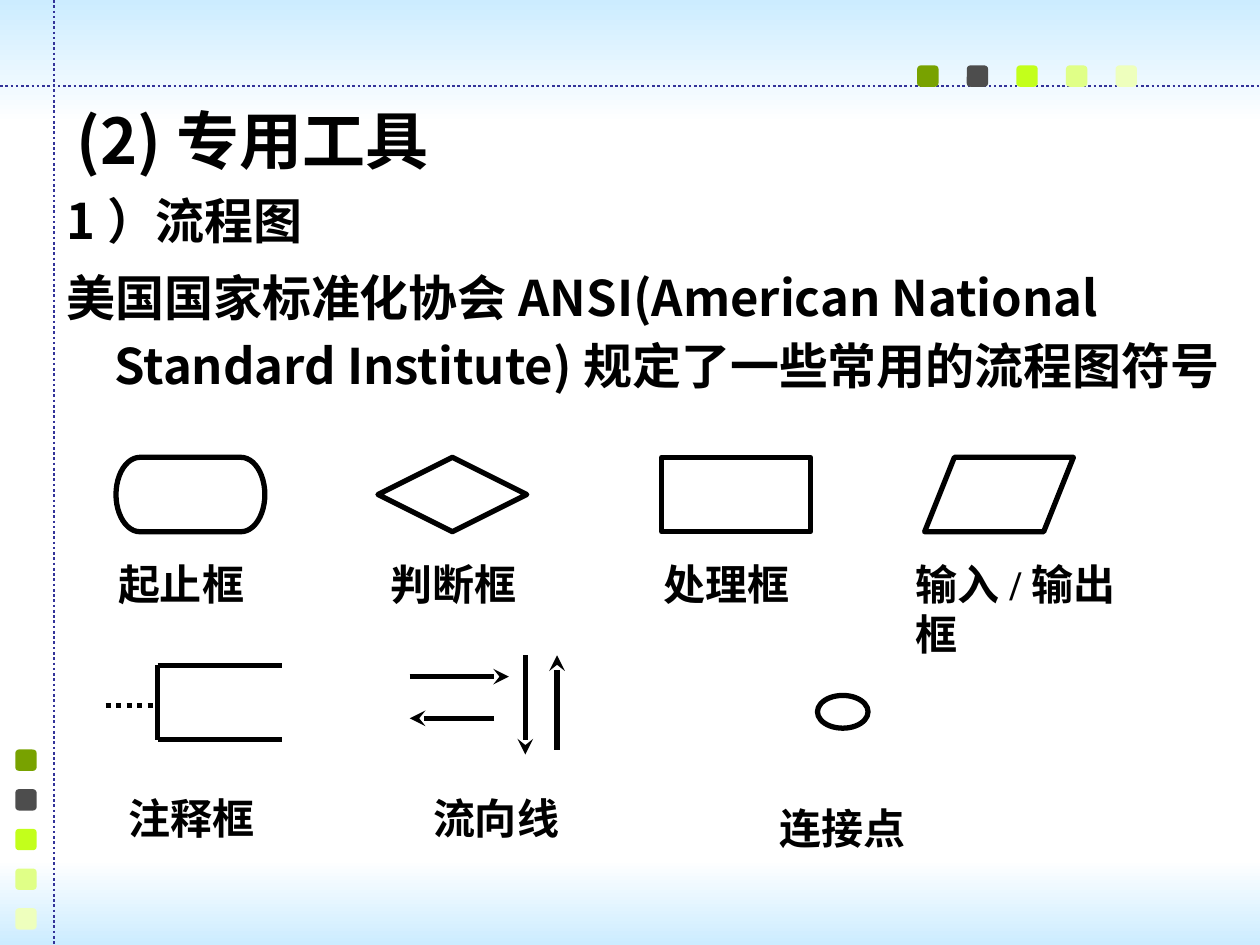
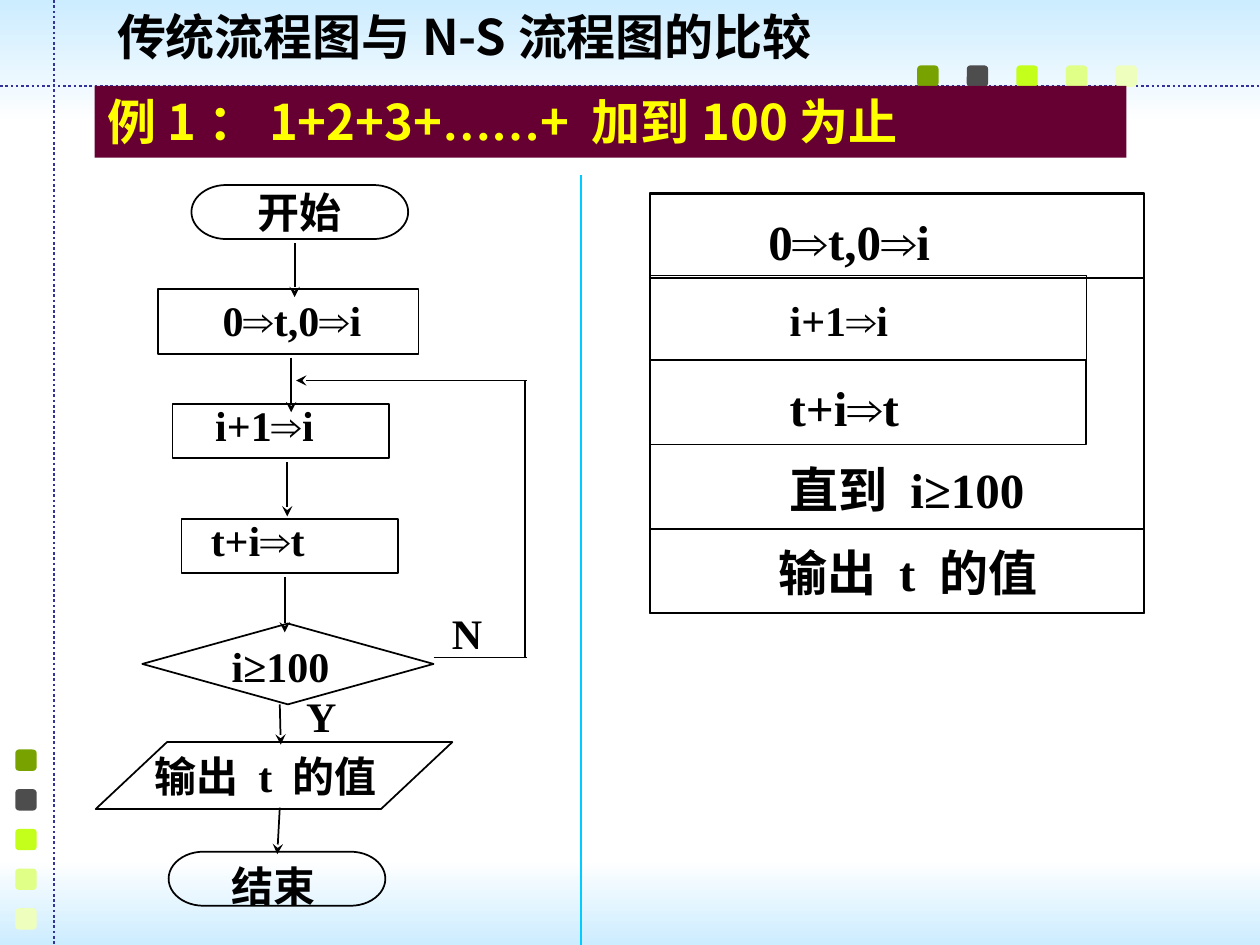
from dataclasses import dataclass
from typing import NamedTuple, Optional

import pptx
import pptx.dml.color
import pptx.enum.dml
import pptx.enum.shapes
import pptx.enum.text
import pptx.oxml
import pptx.oxml.ns
import pptx.util
from pptx.util import Cm

Preset = pptx.enum.shapes.MSO_SHAPE
Anchor = pptx.enum.text.MSO_ANCHOR
Align = pptx.enum.text.PP_ALIGN


@dataclass(frozen=True)
class Theme:
    width: float = 25.4
    height: float = 19.05
    ink: str = "000000"
    sky: str = "CCECFF"
    paper: str = "FFFFFF"
    rule: str = "333399"
    divider: str = "00CCFF"
    banner: str = "660033"
    banner_text: str = "FFFF00"
    squares: tuple = ("78A200", "4D4D4D", "C3FF1B", "E0FF87", "EEFFBD")
    sans: str = "Noto Sans CJK SC"
    serif: str = "Times New Roman"
    title: float = 36
    heading: float = 28
    label: float = 24
    thick: float = 3
    thin: float = 1
    hairline: float = 0.75
    dotted: float = 1.5


THEME = Theme()


class Box(NamedTuple):
    """Left, top, width and height in centimetres."""
    left: float
    top: float
    width: float
    height: float

    def lengths(self) -> list:
        return [Cm(value) for value in self]


class Run(NamedTuple):
    text: str
    font: str = THEME.sans
    east_asian: str = THEME.sans


class Symbol(NamedTuple):
    preset: Preset
    box: Box
    weight: float = THEME.thin


class Label(NamedTuple):
    text: str
    left: float
    top: float
    width: float
    size: float = THEME.label


class Line(NamedTuple):
    x1: float
    y1: float
    x2: float
    y2: float
    arrow: bool = False
    weight: float = THEME.thin
    color: str = THEME.ink
    dotted: bool = False


def rgb(color: str) -> pptx.dml.color.RGBColor:
    return pptx.dml.color.RGBColor.from_string(color)


def add_symbol(slide, symbol: Symbol, fill: Optional[str] = None):
    """Draw an outlined shape, or a filled one without outline."""
    shape = slide.shapes.add_shape(symbol.preset, *symbol.box.lengths())
    shape.shadow.inherit = False
    if fill:
        shape.fill.solid()
        shape.fill.fore_color.rgb = rgb(fill)
        shape.line.fill.background()
    else:
        shape.fill.background()
        shape.line.color.rgb = rgb(THEME.ink)
        shape.line.width = pptx.util.Pt(symbol.weight)
    return shape


def add_line(slide, line: Line) -> None:
    connector = slide.shapes.add_connector(
        pptx.enum.shapes.MSO_CONNECTOR.STRAIGHT,
        Cm(line.x1), Cm(line.y1), Cm(line.x2), Cm(line.y2))
    connector.line.color.rgb = rgb(line.color)
    connector.line.width = pptx.util.Pt(line.weight)
    if line.dotted:
        connector.line.dash_style = pptx.enum.dml.MSO_LINE.ROUND_DOT
    if line.arrow:
        tail = pptx.oxml.parse_xml(
            f'<a:tailEnd {pptx.oxml.ns.nsdecls("a")} type="stealth"/>')
        connector.line._get_or_add_ln().append(tail)
    effects = pptx.oxml.parse_xml(
        f'<a:effectLst {pptx.oxml.ns.nsdecls("a")}/>')
    connector._element.spPr.append(effects)


def add_runs(paragraph, runs: list, size: float,
             color: str = THEME.ink) -> None:
    for item in runs:
        run = paragraph.add_run()
        run.text = item.text
        run.font.size = pptx.util.Pt(size)
        run.font.bold = True
        run.font.color.rgb = rgb(color)
        run.font.name = item.font
        east_asian = pptx.oxml.parse_xml(
            f'<a:ea {pptx.oxml.ns.nsdecls("a")} '
            f'typeface="{item.east_asian}"/>')
        run.font._element.append(east_asian)


def add_text(slide, box: Box, paragraphs: list, size: float,
             hanging: float = 0, line_spacing: float = 1.0) -> None:
    """Add a wrapping text box; each paragraph is a list of runs."""
    frame = slide.shapes.add_textbox(*box.lengths()).text_frame
    frame.word_wrap = True
    for index, runs in enumerate(paragraphs):
        paragraph = frame.add_paragraph() if index else frame.paragraphs[0]
        paragraph.line_spacing = line_spacing
        if index:
            paragraph.space_before = pptx.util.Pt(size * 0.2)
        if hanging:
            properties = paragraph._p.get_or_add_pPr()
            properties.set("marL", str(Cm(hanging)))
            properties.set("indent", str(-Cm(hanging)))
        add_runs(paragraph, runs, size)


def add_label(slide, label: Label) -> None:
    height = 1.45 if label.size > THEME.label else 1.27
    add_text(slide, Box(label.left, label.top, label.width, height),
             [[Run(label.text, THEME.serif)]], label.size)


def add_band(slide, box: Box, first: str, last: str) -> None:
    shape = add_symbol(slide, Symbol(Preset.RECTANGLE, box), first)
    shape.fill.gradient()
    shape.fill.gradient_angle = 270
    for stop, color in zip(shape.fill.gradient_stops, (first, last)):
        stop.color.rgb = rgb(color)


def add_background(slide) -> None:
    """Draw the bands, dotted rules and coloured squares of every slide."""
    add_band(slide, Box(0, 0, THEME.width, 2.51), THEME.sky, THEME.paper)
    add_band(slide, Box(0, 17.32, THEME.width, 1.73), THEME.paper, THEME.sky)
    style = (False, THEME.dotted, THEME.rule, True)
    add_line(slide, Line(0, 1.73, THEME.width, 1.73, *style))
    for index, color in enumerate(THEME.squares):
        for left, top in ((18.49 + index, 1.32), (0.31, 15.11 + 0.8 * index)):
            add_symbol(slide, Symbol(Preset.ROUNDED_RECTANGLE,
                                     Box(left, top, 0.43, 0.43)), color)
    add_line(slide, Line(1.09, 0, 1.09, THEME.height, *style))


def draw_all(slide, symbols: list, lines: list, labels: list) -> None:
    for symbol in symbols:
        add_symbol(slide, symbol)
    for line in lines:
        add_line(slide, line)
    for label in labels:
        add_label(slide, label)


def build_symbols_slide(slide) -> None:
    add_text(slide, Box(1.3, 1.93, 16.79, 2.01), [[Run("(2)专用工具")]],
             THEME.title, hanging=0.97)
    add_text(slide, Box(1.09, 3.53, 24.31, 5), [
        [Run("1）流程图")],
        [Run("美国国家标准化协会ANSI(American National Standard Institute)"
             "规定了一些常用的流程图符号")],
    ], THEME.heading, hanging=0.97, line_spacing=1.15)

    top_row = (
        (Preset.FLOWCHART_TERMINATOR, 2.34),
        (Preset.FLOWCHART_DECISION, 7.62),
        (Preset.FLOWCHART_PROCESS, 13.34),
        (Preset.FLOWCHART_DATA, 18.64),
    )
    symbols = [Symbol(preset, Box(left, 9.22, 3, 1.5), THEME.thick)
               for preset, left in top_row]
    symbols.append(Symbol(Preset.FLOWCHART_CONNECTOR,
                          Box(16.48, 14.02, 1.02, 0.66), THEME.thick))
    comment_bracket = [
        Line(3.18, 13.41, 5.69, 13.41),
        Line(3.18, 14.91, 5.69, 14.91),
        Line(3.18, 13.41, 3.18, 14.91),
        Line(2.13, 14.22, 3.12, 14.22, dotted=True),
    ]
    flow_arrows = [
        Line(8.26, 13.64, 10.26, 13.64, True),
        Line(10.59, 13.21, 10.59, 15.21, True),
        Line(9.96, 14.48, 8.26, 14.48, True),
        Line(11.23, 15.11, 11.23, 13.21, True),
    ]
    lines = [line._replace(weight=THEME.thick)
             for line in comment_bracket + flow_arrows]
    labels = [
        Label("起止框", 2.13, 11.13, 3.61),
        Label("判断框", 7.62, 11.13, 4.01),
        Label("处理框", 13.13, 11.13, 3.38),
        Label("输入/输出框", 18.21, 11.13, 5.28),
        Label("注释框", 2.34, 15.85, 3.61),
        Label("流向线", 8.48, 15.85, 3.81),
        Label("连接点", 15.47, 16.05, 4.88),
    ]
    draw_all(slide, symbols, lines, labels)


def build_ns_chart(slide) -> None:
    symbols = [Symbol(Preset.RECTANGLE, Box(13.11, top, width, height), weight)
               for top, width, height, weight in (
                   (3.89, 9.96, 8.46, THEME.thin),
                   (3.91, 9.96, 1.7, THEME.thin),
                   (10.67, 9.96, 1.7, THEME.thin),
                   (5.56, 8.79, 1.7, THEME.hairline),
                   (7.26, 8.79, 1.7, THEME.thin))]
    labels = [
        Label("0⇒t,0⇒i", 15.24, 4.14, 7.26, THEME.heading),
        Label("i+1⇒i", 15.67, 5.82, 3.28),
        Label("t+i⇒t", 15.67, 7.49, 4.45, THEME.heading),
        Label("直到 i≥100", 15.67, 9.14, 5.38, THEME.heading),
        Label("输出 t 的值", 15.44, 10.82, 6.55, THEME.heading),
    ]
    draw_all(slide, symbols, [], labels)


def build_flowchart(slide) -> None:
    start = add_symbol(slide, Symbol(Preset.FLOWCHART_TERMINATOR,
                                     Box(3.86, 3.73, 4.37, 1.09)))
    start.text_frame.word_wrap = False
    start.text_frame.vertical_anchor = Anchor.MIDDLE
    paragraph = start.text_frame.paragraphs[0]
    paragraph.alignment = Align.CENTER
    add_runs(paragraph, [Run("开始", THEME.serif)], THEME.label)

    symbols = [
        Symbol(Preset.FLOWCHART_PROCESS, Box(3.18, 5.82, 5.26, 1.32)),
        Symbol(Preset.FLOWCHART_PROCESS, Box(3.48, 8.15, 4.37, 1.09)),
        Symbol(Preset.FLOWCHART_PROCESS, Box(3.66, 10.46, 4.37, 1.09)),
        Symbol(Preset.FLOWCHART_DECISION, Box(2.87, 12.57, 5.87, 1.63)),
        Symbol(Preset.FLOWCHART_DATA, Box(1.93, 14.96, 7.19, 1.35)),
        Symbol(Preset.FLOWCHART_TERMINATOR, Box(3.4, 17.17, 4.37, 1.09)),
    ]
    lines = [
        Line(5.94, 4.9, 5.94, 5.99, True),
        Line(5.87, 7.21, 5.87, 8.31, True),
        Line(5.79, 9.32, 5.79, 10.41, True),
        Line(5.74, 11.63, 5.74, 12.75, True),
        Line(5.64, 14.2, 5.66, 15.01, True),
        Line(5.64, 16.28, 5.59, 17.22, True),
        Line(8.74, 13.26, 10.62, 13.26, weight=THEME.hairline),
        Line(10.59, 13.26, 10.59, 7.67),
        Line(10.62, 7.67, 5.97, 7.67, True),
    ]
    labels = [
        Label("0⇒t,0⇒i", 4.24, 5.82, 5),
        Label("i+1⇒i", 4.09, 7.92, 4.32),
        Label("t+i⇒t", 4, 10.24, 5),
        Label("i≥100", 4.42, 12.78, 7.11),
        Label("N", 8.86, 12.12, 2),
        Label("Y", 5.92, 13.79, 6.17),
        Label("输出 t 的值", 2.87, 15.01, 7.32),
        Label("结束", 4.42, 17.22, 3.4),
    ]
    draw_all(slide, symbols, lines, labels)


def build_comparison_slide(slide) -> None:
    build_ns_chart(slide)
    add_text(slide, Box(2.11, 0, 19.69, 1.45),
             [[Run("传统流程图与N-S流程图的比较")]], THEME.heading)
    build_flowchart(slide)
    banner = add_symbol(slide, Symbol(Preset.RECTANGLE,
                                      Box(1.91, 1.73, 20.8, 1.45)),
                        THEME.banner)
    banner.text_frame.word_wrap = True
    banner.text_frame.vertical_anchor = Anchor.TOP
    paragraph = banner.text_frame.paragraphs[0]
    paragraph.alignment = Align.LEFT
    add_runs(paragraph, [
        Run("例1：1+2+3+"),
        Run("……", THEME.serif, THEME.serif),
        Run("+ 加到100为止"),
    ], THEME.heading, THEME.banner_text)
    add_line(slide, Line(11.71, 3.53, 11.71, THEME.height,
                         color=THEME.divider))


def main() -> None:
    presentation = pptx.Presentation()
    presentation.slide_width = Cm(THEME.width)
    presentation.slide_height = Cm(THEME.height)
    for build in (build_symbols_slide, build_comparison_slide):
        slide = presentation.slides.add_slide(presentation.slide_layouts[6])
        add_background(slide)
        build(slide)
    presentation.save("out.pptx")


if __name__ == "__main__":
    main()
